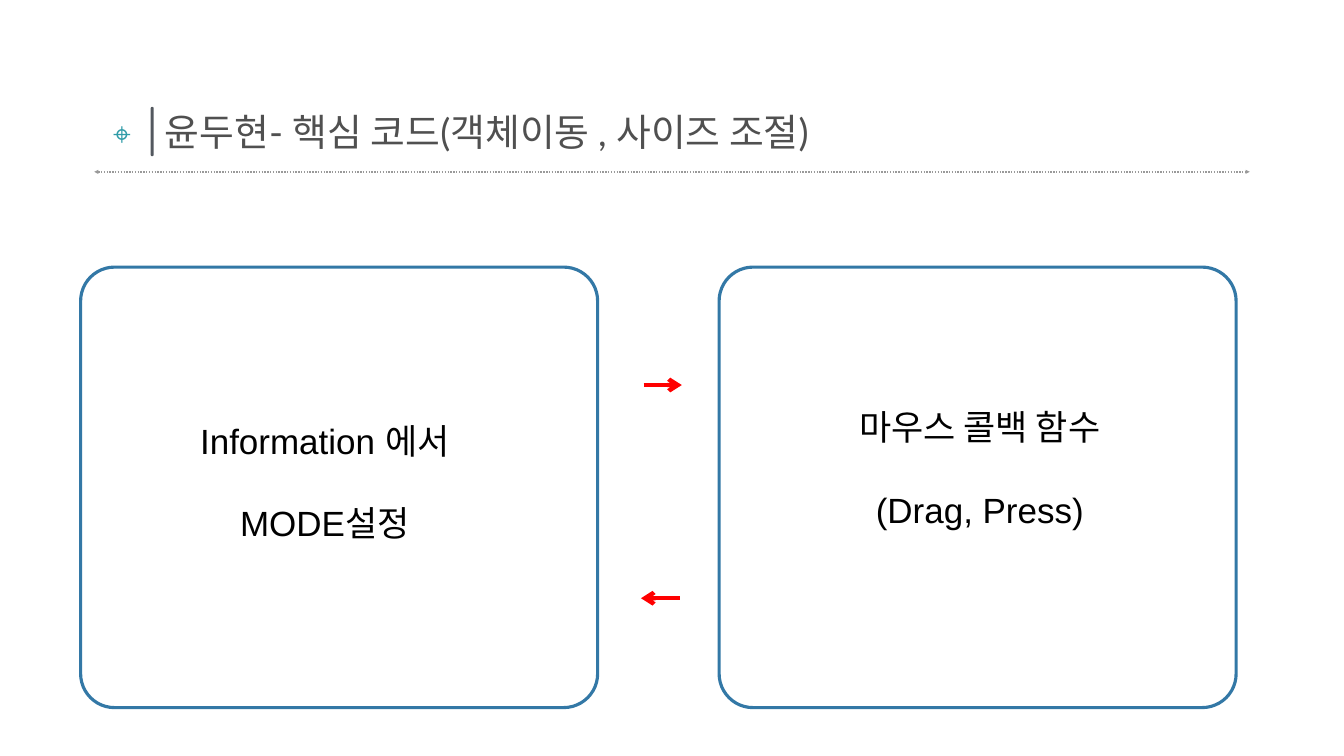
from lxml import etree
from pptx import Presentation
from pptx import util as u
from pptx.dml.color import RGBColor
from pptx.enum import dml, shapes, text
from pptx.oxml.ns import qn


def paint(color, value):
    """Set a colour from a hex string."""
    color.rgb = RGBColor.from_string(value)


def place(sp, *box):
    """Set left, top, width and height in inches."""
    sp.left, sp.top, sp.width, sp.height = map(u.Inches, box)


def style(p, size, font, color):
    """Set the font of a paragraph."""
    p.font.size = u.Pt(size)
    p.font.name = font
    paint(p.font.color, color)


def add_title(s, words):
    """Fill and position the title placeholder."""
    sp = s.shapes.title
    place(sp, 3.27, 2.15, 22, 1.2)
    tf = sp.text_frame
    tf.text = words
    tf.auto_size = text.MSO_AUTO_SIZE.NONE
    tf.vertical_anchor = text.MSO_ANCHOR.TOP
    tf.margin_left = tf.margin_top = tf.margin_right = tf.margin_bottom = 0
    p = tf.paragraphs[0]
    p.alignment = text.PP_ALIGN.LEFT
    style(p, 54, "Lato", "505050")


def add_label(s, box, lines, size, font="Arial", color="000000", gap=0, wrap=True):
    """Add a centred text box with a gap between its lines."""
    tf = s.shapes.add_textbox(*map(u.Inches, box)).text_frame
    tf.word_wrap = wrap
    tf.vertical_anchor = text.MSO_ANCHOR.MIDDLE
    tf.margin_left = tf.margin_top = tf.margin_right = tf.margin_bottom = u.Inches(0.08)
    tf.text = "\n".join(lines)
    for i, p in enumerate(tf.paragraphs):
        p.alignment = text.PP_ALIGN.CENTER
        p.space_before = u.Pt(gap if i else 0)
        style(p, size, font, color)


def add_round_rect(s, box, radius, fill=None, line=None):
    """Add a rounded rectangle with an optional fill and outline."""
    sp = s.shapes.add_shape(shapes.MSO_SHAPE.ROUNDED_RECTANGLE, *map(u.Inches, box))
    sp.adjustments[0] = radius
    sp.shadow.inherit = False
    if fill:
        sp.fill.solid()
        paint(sp.fill.fore_color, fill)
    else:
        sp.fill.background()
    if line:
        paint(sp.line.color, line)
        sp.line.width = u.Pt(4.5)
    else:
        sp.line.fill.background()


def add_arrow(s, x1, x2, y, color, width, dash=None, **ends):
    """Add a horizontal connector with the given arrowheads."""
    sp = s.shapes.add_connector(
        shapes.MSO_CONNECTOR.STRAIGHT, *map(u.Inches, (x1, y, x2, y)))
    paint(sp.line.color, color)
    sp.line.width = u.Pt(width)
    if dash:
        sp.line.dash_style = dash
    ln = sp.line._get_or_add_ln()
    for end, kind in ends.items():
        etree.SubElement(ln, qn(f"a:{end}"), type=kind)
    etree.SubElement(sp._element.spPr, qn("a:effectLst"))


def main():
    """Build the slide and save it."""
    prs = Presentation()
    prs.slide_width, prs.slide_height = u.Inches(26.67), u.Inches(15)
    s = prs.slides.add_slide(prs.slide_layouts[5])

    add_title(s, "윤두현- 핵심 코드(객체이동 , 사이즈 조절)")
    add_label(s, (2.01, 2.17, 0.82, 0.92), ["⌖"], 45, "Calibri", "309CA8", wrap=False)
    add_round_rect(s, (2.99, 2.12, 0.06, 0.98), 0.5, fill="53585F")
    add_arrow(s, 1.87, 24.8, 3.41, "9A9A9A", 2, dml.MSO_LINE.ROUND_DOT,
              headEnd="triangle", tailEnd="triangle")

    for left in (1.6, 14.27):
        add_round_rect(s, (left, 5.3, 10.26, 8.74), 0.077, line="3378A6")
    for x1, x2, y in ((12.77, 13.53, 7.64), (13.49, 12.72, 11.87)):
        add_arrow(s, x1, x2, y, "FF0000", 6, tailEnd="arrow")
    for box, lines in (
        ((1.87, 8.21, 9.15, 2.68), ["Information 에서", "MODE설정"]),
        ((14.83, 7.94, 9.23, 2.68), ["마우스 콜백 함수", "(Drag, Press)"]),
    ):
        add_label(s, box, lines, 50, gap=58)

    prs.save("out.pptx")


if __name__ == "__main__":
    main()
